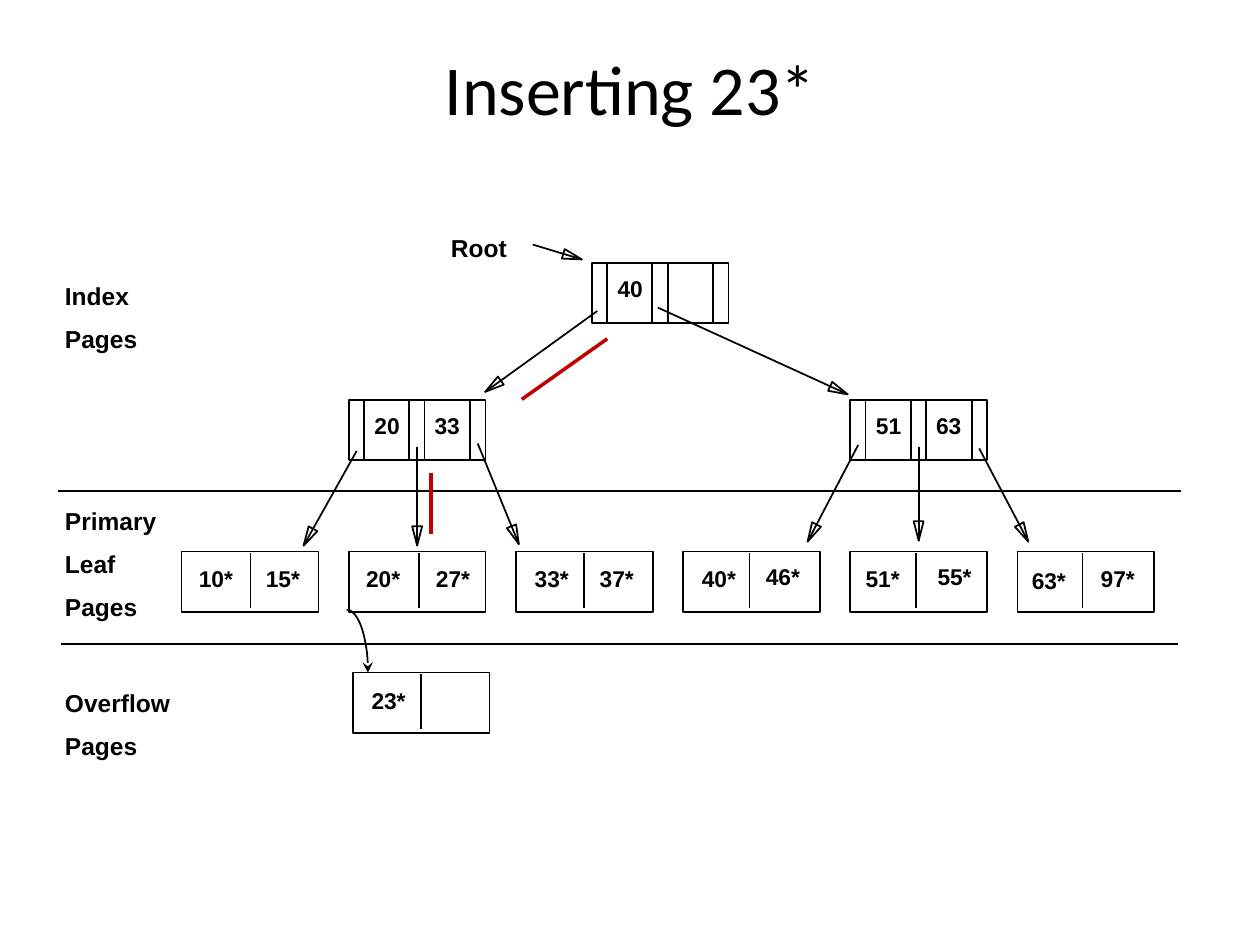
import math

import pptx
import pptx.dml.color
import pptx.enum.shapes
import pptx.enum.text
import pptx.oxml
import pptx.oxml.ns
import pptx.util
from pptx.util import Cm, Pt

BLACK = pptx.dml.color.RGBColor(0x00, 0x00, 0x00)
RED = pptx.dml.color.RGBColor(0xC0, 0x00, 0x00)

# All lengths below are centimetres.
NODE_W, NODE_H = 2.76, 1.22
LEAF_LEFT, LEAF_STEP, LEAF_TOP = 3.66, 3.37, 11.12
INDEX_TOP = 8.06
INDEX_DIVIDERS = (0.31, 1.22, 1.53, 2.45)
HEAD_LENGTH, HEAD_HALF_WIDTH = 0.39, 0.1

# Divider offset, then (key, dx, dy) for each entry of the leaf.
LEAVES = [
    (1.39, [("10*", 0.1, 0.15), ("15*", 1.45, 0.15)]),
    (1.42, [("20*", 0.1, 0.15), ("27*", 1.51, 0.15)]),
    (1.38, [("33*", 0.13, 0.15), ("37*", 1.44, 0.15)]),
    (1.34, [("40*", 0.13, 0.15), ("46*", 1.42, 0.11)]),
    (1.33, [("51*", 0.06, 0.15), ("55*", 1.51, 0.11)]),
    (1.31, [("63*", 0.04, 0.19), ("97*", 1.43, 0.15)]),
]


def add_title(s, text, left, top, width, height):
    sp = s.shapes.title
    sp.left, sp.top, sp.width, sp.height = Cm(left), Cm(top), Cm(width), Cm(height)
    tf = sp.text_frame
    tf.vertical_anchor = pptx.enum.text.MSO_ANCHOR.MIDDLE
    p = tf.paragraphs[0]
    p.alignment = pptx.enum.text.PP_ALIGN.CENTER
    add_run(p, text, "Calibri", 40)


def add_run(p, text, font, size, bold=False):
    r = p.add_run()
    r.text = text
    r.font.name, r.font.size, r.font.bold = font, Pt(size), bold
    r.font.color.rgb = BLACK


def add_text(s, text, left, top, width, height, size):
    sp = s.shapes.add_textbox(Cm(left), Cm(top), Cm(width), Cm(height))
    tf = sp.text_frame
    tf.word_wrap = False
    tf.auto_size = pptx.enum.text.MSO_AUTO_SIZE.SHAPE_TO_FIT_TEXT
    add_run(tf.paragraphs[0], text, "Arial", size, bold=True)


def outline(sp):
    sp.shadow.inherit = False
    sp.fill.background()
    sp.line.color.rgb = BLACK
    sp.line.width = Pt(1)


def add_line(s, x1, y1, x2, y2, color=BLACK, width=1):
    line = s.shapes.add_connector(
        pptx.enum.shapes.MSO_CONNECTOR.STRAIGHT, Cm(x1), Cm(y1), Cm(x2), Cm(y2))
    line.line.color.rgb = color
    line.line.width = Pt(width)
    line._element.spPr.append(pptx.oxml.parse_xml(
        f"<a:effectLst {pptx.oxml.ns.nsdecls('a')}/>"))


def add_pointer(s, x1, y1, x2, y2):
    """Draw a line that ends in a hollow triangle."""
    add_line(s, x1, y1, x2, y2)
    length = math.hypot(x2 - x1, y2 - y1)
    ux, uy = (x2 - x1) / length, (y2 - y1) / length
    base_x, base_y = x2 - HEAD_LENGTH * ux, y2 - HEAD_LENGTH * uy
    corners = [(Cm(base_x - side * uy), Cm(base_y + side * ux))
               for side in (HEAD_HALF_WIDTH, -HEAD_HALF_WIDTH)]
    builder = s.shapes.build_freeform(Cm(x2), Cm(y2))
    builder.add_line_segments(corners, close=True)
    outline(builder.convert_to_shape())


def add_box(s, left, top):
    outline(s.shapes.add_shape(
        pptx.enum.shapes.MSO_SHAPE.RECTANGLE,
        Cm(left), Cm(top), Cm(NODE_W), Cm(NODE_H)))


def add_index_node(s, left, top, keys, pointers):
    """Pointers are (x1, y1, x2, y2), measured from the node's corner."""
    add_box(s, left, top)
    for dx in INDEX_DIVIDERS:
        add_line(s, left + dx, top, left + dx, top + NODE_H)
    for key, dx in zip(keys, (0.27, 1.48)):
        add_text(s, key, left + dx, top + 0.12, 1.02, 0.79, 13)
    for x1, y1, x2, y2 in pointers:
        add_pointer(s, left + x1, top + y1, left + x2, top + y2)


def add_leaf(s, left, top, divider, entries):
    add_box(s, left, top)
    x = left + divider
    add_line(s, x, top + 0.03, x, top + 1.14)
    for key, dx, dy in entries:
        add_text(s, key, left + dx, top + dy, 1.19, 0.79, 13)


def add_level_label(s, left, top, words):
    for i, (word, width) in enumerate(words):
        add_text(s, word, left, top + 0.86 * i, width, 0.84, 14)


def add_overflow_link(s, left, top, width, height):
    """Draw a quarter arc that ends in an arrow at the lower right."""
    arc = s.shapes.add_shape(
        pptx.enum.shapes.MSO_SHAPE.ARC,
        Cm(left - width), Cm(top), Cm(2 * width), Cm(2 * height))
    outline(arc)
    arc.line._get_or_add_ln().append(pptx.oxml.parse_xml(
        f"<a:tailEnd {pptx.oxml.ns.nsdecls('a')} type='stealth'/>"))


def main():
    prs = pptx.Presentation()
    prs.slide_width, prs.slide_height = Cm(25.4), Cm(19.05)
    s = prs.slides.add_slide(prs.slide_layouts[5])
    add_title(s, "Inserting 23*", 1.27, 0.78, 22.86, 1.98)

    for i, (divider, entries) in enumerate(LEAVES):
        add_leaf(s, LEAF_LEFT + LEAF_STEP * i, LEAF_TOP, divider, entries)
    add_leaf(s, 7.11, 13.56, 1.38, [("23*", 0.13, 0.15)])

    add_index_node(s, 11.93, 5.3, ["40"],
                   [(0.11, 0.97, -2.15, 2.6), (1.33, 0.9, 5.16, 2.65)])
    add_index_node(s, LEAF_LEFT + LEAF_STEP, INDEX_TOP, ["20", "33"],
                   [(0.16, 1.03, -0.91, 2.94), (1.38, 0.96, 1.38, 2.94),
                    (2.6, 0.88, 3.43, 2.91)])
    add_index_node(s, LEAF_LEFT + 4 * LEAF_STEP, INDEX_TOP, ["51", "63"],
                   [(0.16, 0.91, -0.86, 2.86), (1.38, 0.96, 1.38, 2.84),
                    (2.6, 0.98, 3.59, 2.86)])
    add_text(s, "Root", 8.84, 4.57, 1.63, 0.84, 14)
    add_pointer(s, 10.74, 4.93, 11.73, 5.23)

    add_line(s, 1.17, 9.9, 23.8, 9.9)
    add_line(s, 1.22, 12.98, 23.75, 12.98)
    pages = ("Pages", 1.96)
    add_level_label(s, 1.06, 5.54, [("Index", 1.8), pages])
    add_level_label(s, 1.06, 10.08, [("Primary", 2.5), ("Leaf", 1.52), pages])
    add_level_label(s, 1.06, 13.75, [("Overflow", 2.65), pages])

    add_overflow_link(s, 6.99, 12.29, 0.43, 1.27)
    add_line(s, 12.24, 6.83, 10.52, 8.05, RED, 2)
    add_line(s, 8.69, 9.53, 8.69, 10.77, RED, 2)
    prs.save("out.pptx")


if __name__ == "__main__":
    main()
